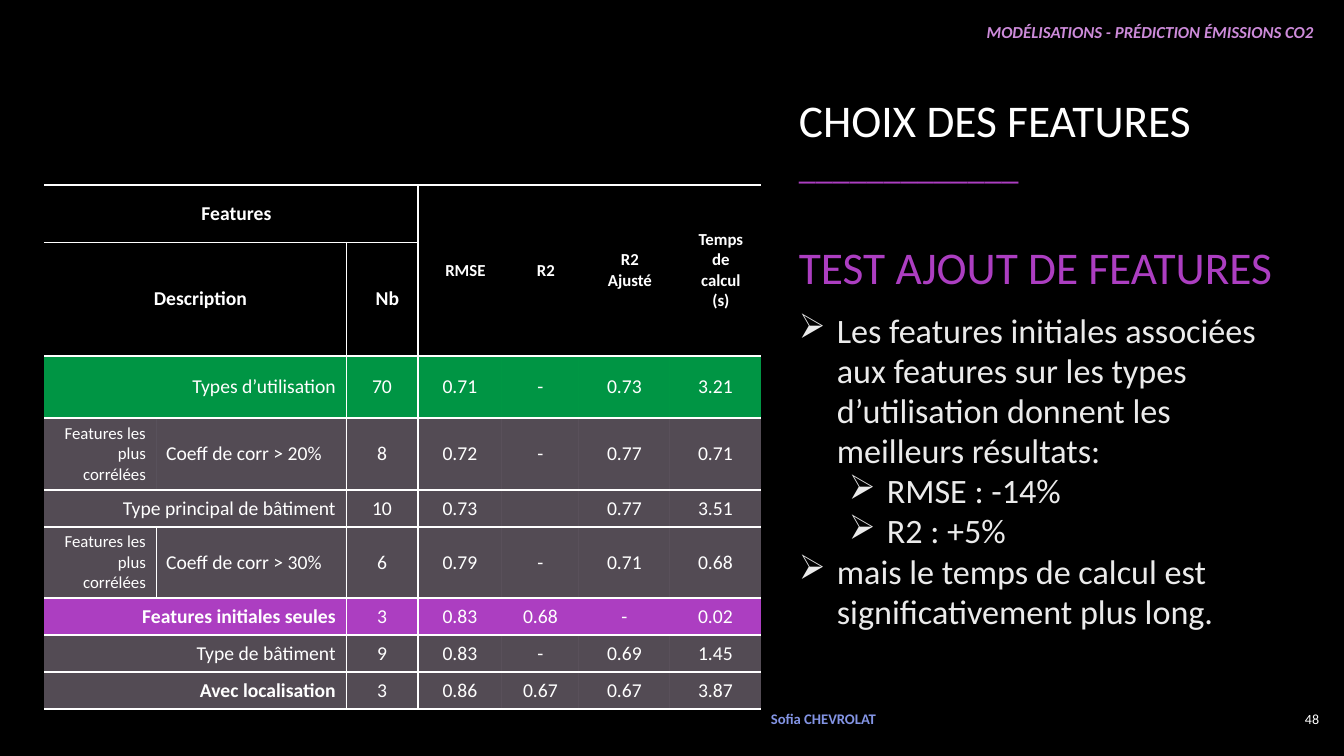
import dataclasses

import pptx
import pptx.dml.color
import pptx.enum.text
import pptx.oxml.ns
import pptx.util
from lxml import etree

EMU_PER_PX = 914400 / 100.8
LEFT, CENTER, RIGHT = (
    pptx.enum.text.PP_ALIGN.LEFT,
    pptx.enum.text.PP_ALIGN.CENTER,
    pptx.enum.text.PP_ALIGN.RIGHT,
)
MIDDLE = pptx.enum.text.MSO_ANCHOR.MIDDLE


@dataclasses.dataclass(frozen=True)
class Theme:
    font: str = "Calibri"
    black: str = "000000"
    white: str = "FFFFFF"
    body: str = "EBEBEB"
    purple: str = "AC3EC1"
    lilac: str = "CD8BDA"
    blue: str = "8394E4"
    green: str = "00B050"
    pale: str = "EED8F3"
    title_size: float = 32.4
    underline_size: float = 24.3
    body_size: float = 24.4
    table_size: float = 14
    small_size: float = 12
    author_size: float = 10.5
    number_size: float = 10


THEME = Theme()
BEST = (THEME.green, 85)
USUAL = (THEME.pale, 35)
BASELINE = (THEME.purple, 100)

COLUMN_WIDTHS = [112, 190, 72, 84, 77, 91, 91]
ROW_HEIGHTS = [57, 114, 62, 72, 37, 71, 37, 37, 37]
ROW_RULES = [1.5, 0.25, 2.25, 2.25] + [1.5] * 6
SCORE_HEADINGS = ["RMSE", "R2", "R2 Ajusté", "Temps de calcul (s)"]
CORRELATED = "Features les plus corrélées"
RESULTS = [
    (["Types d’utilisation"], False, BEST, ["70", "0.71", "-", "0.73", "3.21"]),
    ([CORRELATED, "Coeff de corr > 20%"], False, USUAL, ["8", "0.72", "-", "0.77", "0.71"]),
    (["Type principal de bâtiment"], False, USUAL, ["10", "0.73", "", "0.77", "3.51"]),
    ([CORRELATED, "Coeff de corr > 30%"], False, USUAL, ["6", "0.79", "-", "0.71", "0.68"]),
    (["Features initiales seules"], True, BASELINE, ["3", "0.83", "0.68", "-", "0.02"]),
    (["Type de bâtiment"], False, USUAL, ["9", "0.83", "-", "0.69", "1.45"]),
    (["Avec localisation"], True, USUAL, ["3", "0.86", "0.67", "0.67", "3.87"]),
]
FINDINGS = [
    ("Les features initiales associées aux features sur les types "
     "d’utilisation donnent les meilleurs résultats:", 0),
    ("RMSE : -14%", 1),
    ("R2 : +5%", 1),
    ("mais le temps de calcul est significativement plus long.", 0),
]


def px(length):
    return pptx.util.Emu(round(length * EMU_PER_PX))


def rgb(color):
    return pptx.dml.color.RGBColor.from_string(color)


def add_child(parent, tag, **attributes):
    return etree.SubElement(parent, pptx.oxml.ns.qn(tag), attributes)


def write(paragraph, text, size, color, bold=False, italic=False, align=LEFT):
    paragraph.text = text
    paragraph.alignment = align
    for run in paragraph.runs:
        run.font.name = THEME.font
        run.font.size = pptx.util.Pt(size)
        run.font.color.rgb = rgb(color)
        run.font.bold = bold
        run.font.italic = italic


def add_frame(slide, left, top, width, height, anchor=MIDDLE):
    frame = slide.shapes.add_textbox(px(left), px(top), px(width), px(height)).text_frame
    frame.word_wrap = True
    frame.vertical_anchor = anchor
    return frame


def next_paragraph(frame, index):
    paragraph = frame.add_paragraph() if index else frame.paragraphs[0]
    paragraph.line_spacing = 0.98
    return paragraph


def add_headline(slide):
    frame = add_frame(slide, 789, 100, 509, 190)
    lines = [
        ("CHOIX DES FEATURES", THEME.title_size, THEME.white, 0),
        ("_____________", THEME.underline_size, THEME.purple, 0),
        ("TEST AJOUT DE FEATURES", THEME.title_size, THEME.purple, 39),
    ]
    for index, (text, size, color, gap) in enumerate(lines):
        paragraph = next_paragraph(frame, index)
        write(paragraph, text, size, color)
        if gap:
            paragraph.space_before = pptx.util.Pt(gap)


def add_findings(slide):
    frame = add_frame(slide, 789, 300, 509, 343)
    for index, (text, level) in enumerate(FINDINGS):
        paragraph = next_paragraph(frame, index)
        paragraph.level = level
        write(paragraph, text, THEME.body_size, THEME.body)
        properties = paragraph._p.get_or_add_pPr()
        properties.set("marL", str(px(38 + 50 * level)))
        properties.set("indent", str(px(-38)))
        add_child(properties, "a:buChar", char="➢")


def draw_border(cell, side, width):
    properties = cell._tc.get_or_add_tcPr()
    line = add_child(properties, f"a:ln{side}", w=str(pptx.util.Pt(width)))
    if width:
        add_child(add_child(line, "a:solidFill"), "a:srgbClr", val=THEME.white)
    else:
        add_child(line, "a:noFill")


def vertical_rule(row, edge):
    if edge == 3:
        return 1
    return 0.25 if (edge == 2 and row > 0) or (edge == 1 and row == 5) else 0


def horizontal_rule(edge, column):
    return 0 if edge == 1 and column > 2 else ROW_RULES[edge]


def dress_cell(cell, row, column, shade):
    right = column + (cell.span_width if cell.is_merge_origin else 1)
    bottom = row + (cell.span_height if cell.is_merge_origin else 1)
    draw_border(cell, "L", vertical_rule(row, column))
    draw_border(cell, "R", vertical_rule(row, right))
    draw_border(cell, "T", horizontal_rule(row, column))
    draw_border(cell, "B", horizontal_rule(bottom, column))
    cell.vertical_anchor = MIDDLE
    cell.margin_top = cell.margin_bottom = px(5 if cell.text else 0)
    if shade is None:
        cell.fill.background()
        if cell.text:
            cell.margin_left = px(27)
            cell.margin_right = cell.margin_top = cell.margin_bottom = px(16)
        return
    color, opacity = shade
    cell.fill.solid()
    cell.fill.fore_color.rgb = rgb(color)
    if opacity < 100:
        swatch = cell._tc.tcPr.find(pptx.oxml.ns.qn("a:solidFill"))[0]
        add_child(swatch, "a:alpha", val=str(opacity * 1000))


def write_cell(cell, text, size=THEME.table_size, bold=False, align=CENTER):
    write(cell.text_frame.paragraphs[0], text, size, THEME.white, bold, align=align)


def write_headings(table):
    table.cell(0, 0).merge(table.cell(0, 2))
    table.cell(1, 0).merge(table.cell(1, 1))
    for row, column, text in [(0, 0, "Features"), (1, 0, "Description"), (1, 2, "Nb")]:
        write_cell(table.cell(row, column), text, bold=True)
    for column, text in enumerate(SCORE_HEADINGS, 3):
        table.cell(0, column).merge(table.cell(1, column))
        write_cell(table.cell(0, column), text, THEME.small_size, bold=True)


def add_results(slide):
    table = slide.shapes.add_table(
        len(ROW_HEIGHTS), len(COLUMN_WIDTHS), px(44), px(185),
        px(sum(COLUMN_WIDTHS)), px(sum(ROW_HEIGHTS)),
    ).table
    table.first_row = table.horz_banding = False
    for column, width in zip(table.columns, COLUMN_WIDTHS):
        column.width = px(width)
    for row, height in zip(table.rows, ROW_HEIGHTS):
        row.height = px(height)
    write_headings(table)
    for row, (labels, bold, _, scores) in enumerate(RESULTS, 2):
        if len(labels) == 1:
            table.cell(row, 0).merge(table.cell(row, 1))
            write_cell(table.cell(row, 0), labels[0], bold=bold, align=RIGHT)
        else:
            write_cell(table.cell(row, 0), labels[0], THEME.small_size, align=RIGHT)
            write_cell(table.cell(row, 1), labels[1], align=LEFT)
        for column, score in enumerate(scores, 2):
            write_cell(table.cell(row, column), score)
    shades = [None, None] + [result[2] for result in RESULTS]
    for row, shade in enumerate(shades):
        for column in range(len(COLUMN_WIDTHS)):
            dress_cell(table.cell(row, column), row, column, shade)


def main():
    deck = pptx.Presentation()
    deck.slide_width, deck.slide_height = px(1344), px(756)
    slide = deck.slides.add_slide(deck.slide_layouts[6])
    slide.background.fill.solid()
    slide.background.fill.fore_color.rgb = rgb(THEME.black)
    number = add_frame(slide, 1268, 698, 61, 41)
    write(number.paragraphs[0], "48", THEME.number_size, THEME.white, align=RIGHT)
    author = add_frame(slide, 761, 698, 177, 41)
    write(author.paragraphs[0], "Sofia CHEVROLAT", THEME.author_size, THEME.blue, bold=True)
    add_findings(slide)
    add_headline(slide)
    add_results(slide)
    section = add_frame(slide, 773, 17, 551, 30, pptx.enum.text.MSO_ANCHOR.TOP)
    write(section.paragraphs[0], "MODÉLISATIONS - PRÉDICTION ÉMISSIONS CO2",
          THEME.small_size, THEME.lilac, bold=True, italic=True, align=RIGHT)
    deck.save("out.pptx")


if __name__ == "__main__":
    main()
